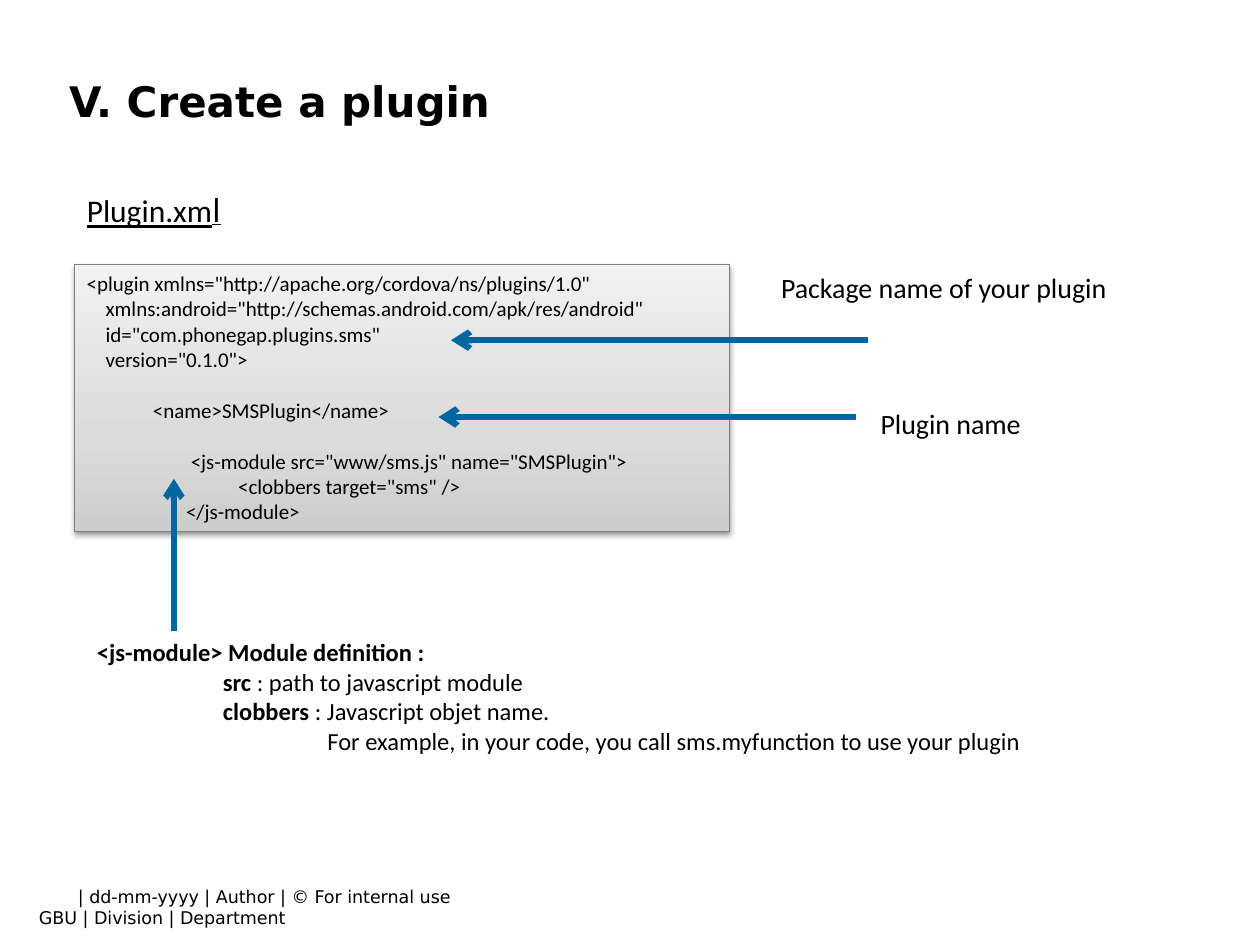
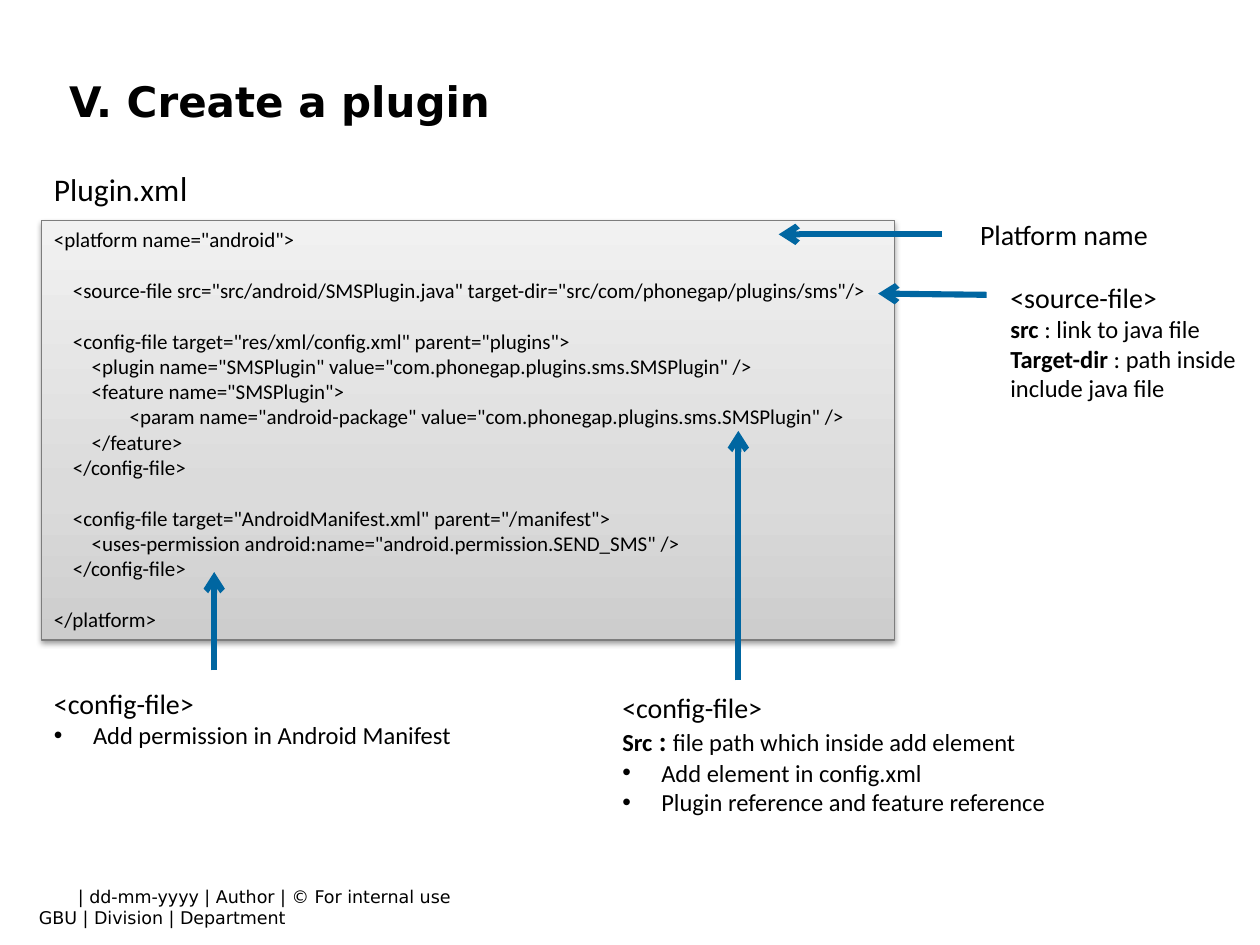
import copy
import lxml.etree
import pptx
import pptx.dml.color
import pptx.enum.dml
import pptx.enum.shapes
import pptx.enum.text
import pptx.oxml.ns
import pptx.util

BLACK = pptx.dml.color.RGBColor(0x00, 0x00, 0x00)
ARROW_BLUE = pptx.dml.color.RGBColor(0x00, 0x66, 0xA1)
BORDER_GREY = pptx.dml.color.RGBColor(0x7D, 0x7D, 0x7D)
CODE_GREYS = [
    (0, pptx.dml.color.RGBColor(0xCD, 0xCD, 0xCD)),
    (0.35, pptx.dml.color.RGBColor(0xDB, 0xDB, 0xDB)),
    (1, pptx.dml.color.RGBColor(0xF1, 0xF1, 0xF1)),
]
BODY_FONT = "Calibri"
TITLE_FONT = "DejaVu Sans"
CODE_LINE = pptx.util.Pt(14.65)
qn = pptx.oxml.ns.qn

deck = pptx.Presentation()
deck.slide_width = pptx.util.Inches(10)
deck.slide_height = pptx.util.Inches(7.5)
COLUMN = deck.slide_width / 100
ROW = deck.slide_height / 75


def place(*cells):
    return [round(cell * (ROW if i % 2 else COLUMN)) for i, cell in enumerate(cells)]


def write(frame, paragraphs, size=14, font=BODY_FONT, bold=False, underline=False,
          wrap=True, anchor=pptx.enum.text.MSO_ANCHOR.TOP):
    frame.word_wrap = wrap
    frame.vertical_anchor = anchor
    gap = 0
    started = False
    for entry in paragraphs:
        if entry == "":
            gap += CODE_LINE
            continue
        details = entry if isinstance(entry, dict) else {"runs": [entry]}
        paragraph = frame.add_paragraph() if started else frame.paragraphs[0]
        started = True
        paragraph.alignment = pptx.enum.text.PP_ALIGN.LEFT
        if gap:
            paragraph.space_before = gap
            gap = 0
        properties = paragraph._p.get_or_add_pPr()
        if "indent" in details:
            properties.set("marL", str(round(details["indent"] * COLUMN)))
        if details.get("bullet"):
            properties.set("indent", str(-round(details["indent"] * COLUMN)))
            lxml.etree.SubElement(properties, qn("a:buFont"), typeface="Arial")
            lxml.etree.SubElement(properties, qn("a:buChar"), char="•")
        for piece in details["runs"]:
            words, changes = piece if isinstance(piece, tuple) else (piece, {})
            run = paragraph.add_run()
            run.text = words
            run.font.name = changes.get("font", font)
            run.font.size = pptx.util.Pt(changes.get("size", details.get("size", size)))
            run.font.bold = changes.get("bold", bold)
            run.font.underline = underline
            run.font.color.rgb = BLACK


STRONG = {"bold": True}

plugin_code = """\
<plugin xmlns="http://apache.org/cordova/ns/plugins/1.0"
    xmlns:android="http://schemas.android.com/apk/res/android"
    id="com.phonegap.plugins.sms"
    version="0.1.0">

              <name>SMSPlugin</name>

                      <js-module src="www/sms.js" name="SMSPlugin">
                                <clobbers target="sms" />
                     </js-module>"""

platform_code = """\
<platform name="android">

    <source-file src="src/android/SMSPlugin.java" target-dir="src/com/phonegap/plugins/sms"/>

    <config-file target="res/xml/config.xml" parent="plugins">
        <plugin name="SMSPlugin" value="com.phonegap.plugins.sms.SMSPlugin" />
        <feature name="SMSPlugin">
                <param name="android-package" value="com.phonegap.plugins.sms.SMSPlugin" />
        </feature>
    </config-file>

    <config-file target="AndroidManifest.xml" parent="/manifest">
        <uses-permission android:name="android.permission.SEND_SMS" />
    </config-file>

</platform>"""

module_notes = [
    {"runs": [("<js-module> Module definition :", STRONG)]},
    {"runs": [("src", STRONG), " : path to javascript module"], "indent": 10},
    {"runs": [("clobbers", STRONG), " : Javascript objet name."], "indent": 10},
    {"runs": ["For example, in your code, you call sms.myfunction to use your plugin"],
     "indent": 18.3},
]
source_notes = [
    {"runs": ["<source-file>"], "size": 16},
    {"runs": [("src", STRONG), " : link to java file"]},
    {"runs": [("Target-dir", STRONG), " : path inside include java file"]},
]
permission_notes = [
    {"runs": ["<config-file>"], "size": 16},
    {"runs": ["Add permission in Android Manifest"], "indent": 3.1, "bullet": True},
]
config_notes = [
    {"runs": ["<config-file>"], "size": 16},
    {"runs": [("Src", STRONG), (" : ", {"size": 16, "bold": True}),
              "file path which inside add element"]},
    {"runs": ["Add element in config.xml"], "indent": 3.1, "bullet": True},
    {"runs": ["Plugin reference and feature reference"], "indent": 3.1, "bullet": True},
]

pages = [
    {
        "heading": (5.9, 14.7, 12.8, 4),
        "underline": True,
        "code": plugin_code,
        "code_area": (5.9, 21, 52, 21.2),
        "arrows": [(68.9, 27, 35.8, 27), (13.8, 50.1, 13.8, 38), (67.9, 33.1, 34.8, 33.1)],
        "labels": [("Package name of your plugin", (61, 21, 28.1, 3.7)),
                   ("Plugin name", (68.9, 31.8, 13.3, 3.7))],
        "notes": [(module_notes, (6.7, 50.1, 77.2, 10.4))],
    },
    {
        "heading": (3.3, 13, 12.8, 4),
        "underline": False,
        "code": platform_code,
        "code_area": (3.3, 17.5, 67.7, 33.3),
        "arrows": [(74.8, 18.6, 61.8, 18.6), (78.3, 23.4, 69.7, 23.3),
                   (17, 53.2, 17, 45.4), (58.6, 54, 58.6, 34.2)],
        "labels": [("Platform name", (76.8, 16.8, 15.6, 3.7))],
        "notes": [(source_notes, (79.2, 21.8, 20.5, 10.8)),
                  (permission_notes, (3.3, 54, 35.1, 6.1)),
                  (config_notes, (48.4, 54.3, 48.8, 11.1))],
    },
]

for page in pages:
    slide = deck.slides.add_slide(deck.slide_layouts[6])
    shapes = slide.shapes

    footer = shapes.add_textbox(*place(2.1, 69.8, 37.1, 4.4))
    write(footer.text_frame,
          [{"runs": ["| dd-mm-yyyy | Author | © For internal use"], "indent": 3.1},
           "GBU | Division | Department"],
          size=10, font=TITLE_FONT, wrap=False)

    title = shapes.add_textbox(*place(4.5, 5.2, 95.5, 5.5))
    write(title.text_frame, ["V. Create a plugin"], size=24, font=TITLE_FONT, bold=True,
          anchor=pptx.enum.text.MSO_ANCHOR.MIDDLE)

    heading = shapes.add_textbox(*place(*page["heading"]))
    write(heading.text_frame, [{"runs": ["Plugin.xm", ("l", {"font": TITLE_FONT})]}],
          size=18, underline=page["underline"], wrap=False)

    listing = shapes.add_shape(pptx.enum.shapes.MSO_SHAPE.RECTANGLE,
                               *place(*page["code_area"]))
    listing.fill.gradient()
    listing.fill.gradient_angle = 90
    stops = listing._element.spPr.find(".//" + qn("a:gsLst"))
    stops.append(copy.deepcopy(stops[0]))
    for stop, (position, grey) in zip(listing.fill.gradient_stops, CODE_GREYS):
        stop.position = position
        stop.color.rgb = grey
    listing.line.color.rgb = BORDER_GREY
    listing.line.width = pptx.util.Pt(0.75)
    listing.shadow.inherit = False
    effects = listing._element.spPr.find(qn("a:effectLst"))
    shadow = lxml.etree.SubElement(effects, qn("a:outerShdw"), blurRad="40000",
                                   dist="20000", dir="5400000", rotWithShape="0")
    shadow_colour = lxml.etree.SubElement(shadow, qn("a:srgbClr"), val=str(BLACK))
    lxml.etree.SubElement(shadow_colour, qn("a:alpha"), val="38000")
    write(listing.text_frame, page["code"].splitlines(), size=12)

    for ends in page["arrows"]:
        arrow = shapes.add_connector(pptx.enum.shapes.MSO_CONNECTOR.STRAIGHT, *place(*ends))
        arrow.line.color.rgb = ARROW_BLUE
        arrow.line.width = pptx.util.Pt(3.5)
        lxml.etree.SubElement(arrow.line._get_or_add_ln(), qn("a:tailEnd"), type="arrow")
        lxml.etree.SubElement(arrow._element.spPr, qn("a:effectLst"))

    for label, area in page["labels"]:
        write(shapes.add_textbox(*place(*area)).text_frame, [label], size=16, wrap=False)

    for notes, area in page["notes"]:
        write(shapes.add_textbox(*place(*area)).text_frame, notes)

deck.save("out.pptx")
